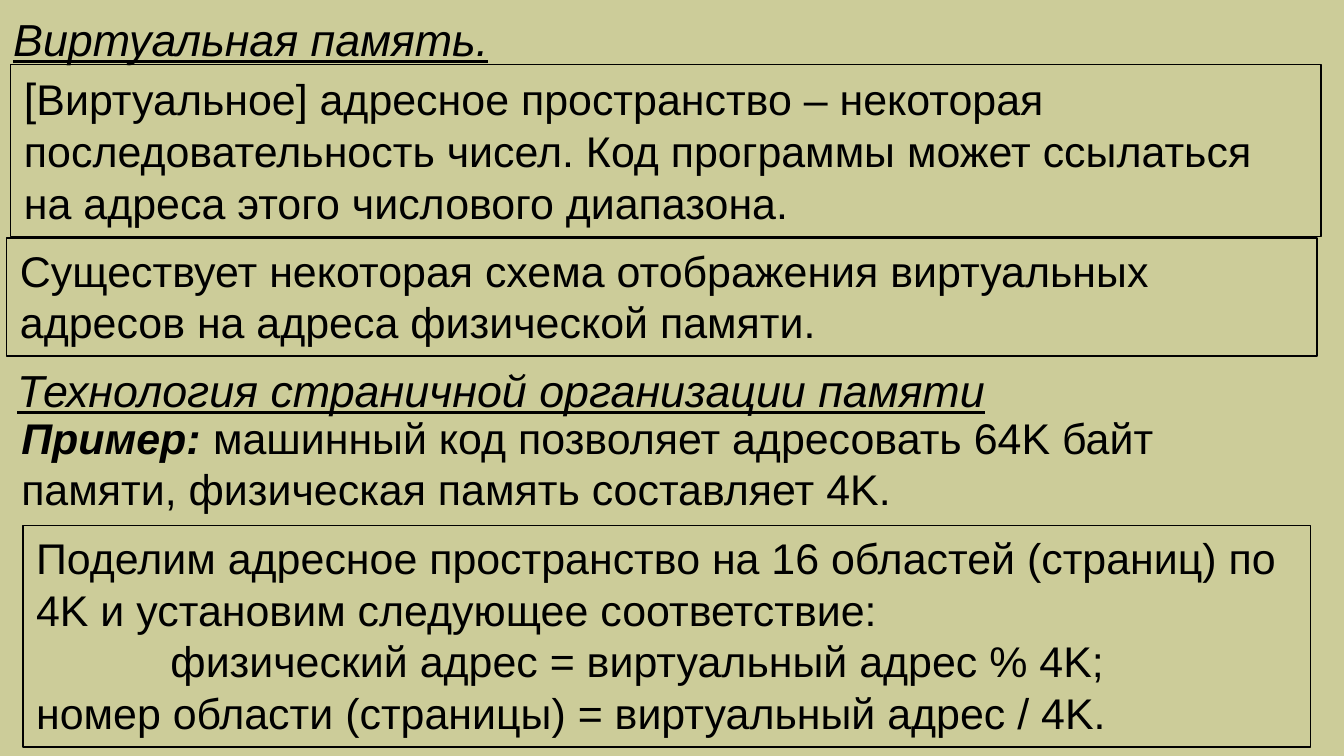
import pptx
import pptx.util
import pptx.dml.color
import pptx.enum.shapes
import pptx.enum.text
from dataclasses import dataclass
from pptx.util import Inches


@dataclass
class Theme:
    background: str = "CCCC99"
    ink: str = "000000"
    font: str = "Arial"
    heading_size: int = 24
    body_size: int = 23
    line_width: float = 0.75


class SlideBuilder:
    """Draws headings, paragraphs and framed notes on one slide."""

    def __init__(self, slide, theme):
        self.slide = slide
        self.theme = theme
        fill = slide.background.fill
        fill.solid()
        fill.fore_color.rgb = self.color(theme.background)

    def color(self, value):
        return pptx.dml.color.RGBColor.from_string(value)

    def add_run(self, paragraph, text, size, bold=False, italic=False, underline=False):
        run = paragraph.add_run()
        run.text = text
        font = run.font
        font.name = self.theme.font
        font.size = pptx.util.Pt(size)
        font.color.rgb = self.color(self.theme.ink)
        font.bold, font.italic, font.underline = bold, italic, underline

    def prepare(self, shape):
        frame = shape.text_frame
        frame.word_wrap = True
        frame.vertical_anchor = pptx.enum.text.MSO_ANCHOR.TOP
        return frame

    def text_box(self, left, top, width, height):
        box = self.slide.shapes.add_textbox(
            Inches(left), Inches(top), Inches(width), Inches(height))
        return self.prepare(box).paragraphs[0]

    def heading(self, text, left, top, width):
        paragraph = self.text_box(left, top, width, 0.51)
        self.add_run(paragraph, text, self.theme.heading_size,
                     italic=True, underline=True)

    def example(self, label, text, left, top, width, height):
        paragraph = self.text_box(left, top, width, height)
        self.add_run(paragraph, label, self.theme.body_size, True, True)
        self.add_run(paragraph, text, self.theme.body_size)

    def framed_note(self, lines, left, top, width, height, opening=""):
        shape = self.slide.shapes.add_shape(
            pptx.enum.shapes.MSO_SHAPE.RECTANGLE,
            Inches(left), Inches(top), Inches(width), Inches(height))
        shape.shadow.inherit = False
        shape.fill.background()
        shape.line.color.rgb = self.color(self.theme.ink)
        shape.line.width = pptx.util.Pt(self.theme.line_width)
        frame = self.prepare(shape)
        for index, (text, indent) in enumerate(lines):
            paragraph = frame.add_paragraph() if index else frame.paragraphs[0]
            paragraph.alignment = pptx.enum.text.PP_ALIGN.LEFT
            if indent:
                paragraph._p.get_or_add_pPr().set("marL", str(Inches(indent)))
            if opening and index == 0:
                self.add_run(paragraph, opening, self.theme.heading_size)
            self.add_run(paragraph, text, self.theme.body_size)


presentation = pptx.Presentation()
presentation.slide_width = Inches(10)
presentation.slide_height = Inches(10) * 9 // 16
slide = presentation.slides.add_slide(presentation.slide_layouts[6])
builder = SlideBuilder(slide, Theme())

builder.heading("Виртуальная память.", 0, 0.04, 4.17)
builder.framed_note(
    [("Виртуальное] адресное пространство – некоторая последовательность "
      "чисел. Код программы может ссылаться на адреса этого числового "
      "диапазона.", 0)], 0.08, 0.48, 9.75, 1.28, opening="[")
builder.framed_note(
    [("Существует некоторая схема отображения виртуальных адресов "
      "на адреса физической памяти.", 0)], 0.05, 1.77, 9.75, 0.88)
builder.example(
    "Пример: ",
    "машинный код позволяет адресовать 64K байт памяти, "
    "физическая память составляет 4K.", 0.06, 3.01, 9.52, 0.89)
builder.framed_note(
    [("Поделим адресное пространство на 16 областей (страниц) по 4K "
      "и установим следующее соответствие:", 0),
     ("физический адрес = виртуальный адрес % 4K;", 1),
     ("номер области (страницы) = виртуальный адрес / 4K.", 0)],
    0.17, 3.91, 9.58, 1.65)
builder.heading("Технология страничной организации памяти", 0.03, 2.65, 9.42)

presentation.save("out.pptx")
